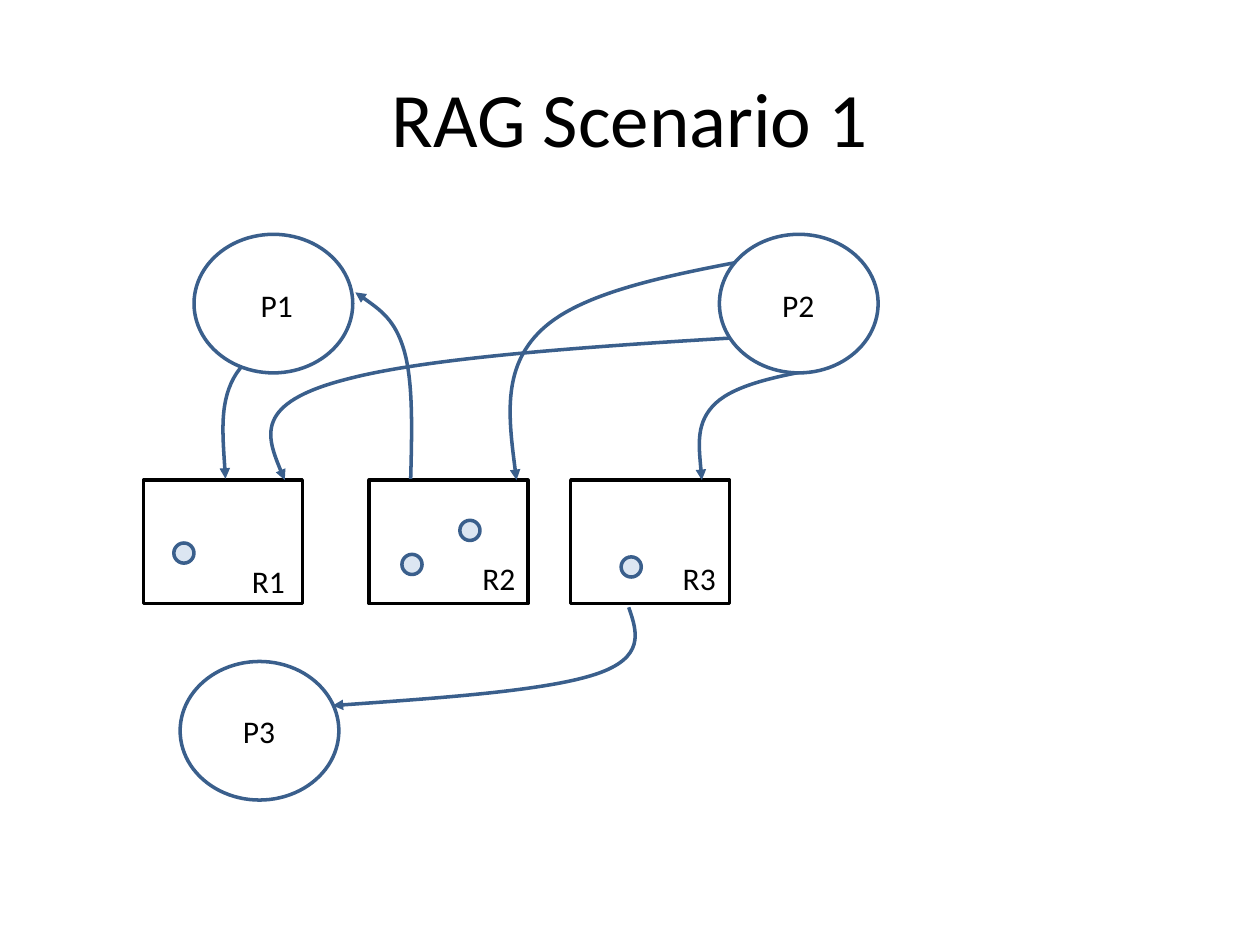
import pptx
import pptx.dml.color
import pptx.enum.shapes
import pptx.enum.text
import pptx.oxml
import pptx.oxml.ns
import pptx.util
from pptx.util import Inches

THEME = {
    "font": "Calibri",
    "title_size": 44,
    "label_size": 18,
    "line_width": 2,
    "text": "000000",
    "paper": "FFFFFF",
    "blue": "3A5F8C",
    "pale_blue": "DCE6F2",
}
OVAL = pptx.enum.shapes.MSO_SHAPE.OVAL
RECTANGLE = pptx.enum.shapes.MSO_SHAPE.RECTANGLE
CIRCLE_SIZE = (1.26, 1.1)
BOX_SIZE = (1.26, 0.98)
DOT_SIZE = (0.16, 0.16)
LABEL_SIZE = (0.47, 0.4)
BOX_TOP = 3.81


def style_shape(shape, line, fill=None):
    shape.shadow.inherit = False
    shape.line.color.rgb = pptx.dml.color.RGBColor.from_string(THEME[line])
    shape.line.width = pptx.util.Pt(THEME["line_width"])
    if fill:
        shape.fill.solid()
        shape.fill.fore_color.rgb = pptx.dml.color.RGBColor.from_string(THEME[fill])
    else:
        shape.fill.background()


def write_text(text_frame, text, size):
    text_frame.text = text
    font = text_frame.paragraphs[0].runs[0].font
    font.color.rgb = pptx.dml.color.RGBColor.from_string(THEME["text"])
    formats = {"name": THEME["font"], "size": pptx.util.Pt(THEME[size])}
    for name, value in formats.items():
        setattr(font, name, value)


presentation = pptx.Presentation()
presentation.slide_width, presentation.slide_height = Inches(10), Inches(7.5)
slide = presentation.slides.add_slide(presentation.slide_layouts[5])
shapes = slide.shapes

title = shapes.title
title_place = {"left": 0.5, "top": 0.3, "width": 9, "height": 1.25}
for name, value in title_place.items():
    setattr(title, name, Inches(value))
write_text(title.text_frame, "RAG Scenario 1", "title_size")
title.text_frame.vertical_anchor = pptx.enum.text.MSO_ANCHOR.MIDDLE
title.text_frame.paragraphs[0].alignment = pptx.enum.text.PP_ALIGN.CENTER

# Resources
for left in (1.14, 2.93, 4.53):
    box = shapes.add_shape(RECTANGLE, *map(Inches, (left, BOX_TOP, *BOX_SIZE)))
    style_shape(box, "text", "paper")

# Requests and assignments: a start point, then two Bezier segments of three points
arrows = [
    # P1 to R1
    [(2.6, 2.57), (2.31, 2.66), (2.01, 2.76), (1.88, 2.96),
     (1.74, 3.17), (1.77, 3.48), (1.79, 3.8)],
    # P2 to R1, R2 and R3
    [(6.73, 2.63), (5.12, 2.72), (3.5, 2.81), (2.75, 3.01),
     (2.01, 3.2), (2.13, 3.51), (2.26, 3.81)],
    [(6.18, 2.02), (5.43, 2.16), (4.68, 2.29), (4.33, 2.59),
     (3.98, 2.89), (4.04, 3.35), (4.1, 3.81)],
    [(6.54, 2.92), (6.19, 2.98), (5.84, 3.05), (5.68, 3.2),
     (5.52, 3.35), (5.55, 3.58), (5.57, 3.81)],
    # R3 to P3
    [(4.99, 4.82), (5.06, 5.02), (5.12, 5.22), (4.73, 5.35),
     (4.34, 5.48), (3.49, 5.54), (2.64, 5.6)],
    # R2 to P1
    [(3.26, 3.8), (3.27, 3.42), (3.28, 3.04), (3.21, 2.79),
     (3.14, 2.54), (2.98, 2.43), (2.82, 2.32)],
]
for points in arrows:
    start, *others = [(Inches(x), Inches(y)) for x, y in points]
    builder = shapes.build_freeform(*start)
    builder.add_line_segments(others, close=False)
    arrow = builder.convert_to_shape()
    style_shape(arrow, "blue")
    # Turn each three straight segments into one cubic curve
    segments = list(arrow.element.iter(pptx.oxml.ns.qn("a:lnTo")))
    for first in range(0, len(segments), 3):
        curve = pptx.oxml.parse_xml(
            f"<a:cubicBezTo {pptx.oxml.ns.nsdecls('a')}/>")
        segments[first].addprevious(curve)
        for segment in segments[first:first + 3]:
            curve.append(segment[0])
            segment.getparent().remove(segment)
    line = arrow.element.spPr.find(pptx.oxml.ns.qn("a:ln"))
    line.append(pptx.oxml.parse_xml(
        f'<a:tailEnd {pptx.oxml.ns.nsdecls("a")} type="triangle"/>'))

# Processes
for left, top in ((1.54, 1.86), (5.71, 1.86), (1.43, 5.25)):
    circle = shapes.add_shape(OVAL, *map(Inches, (left, top, *CIRCLE_SIZE)))
    style_shape(circle, "blue", "paper" if top < BOX_TOP else None)

# Resource instances
for left, top in ((1.38, 4.31), (3.65, 4.13), (3.19, 4.4), (4.93, 4.42)):
    dot = shapes.add_shape(OVAL, *map(Inches, (left, top, *DOT_SIZE)))
    style_shape(dot, "blue", "pale_blue")

labels = {
    "P1": (1.97, 2.22), "P2": (6.11, 2.22), "P3": (1.83, 5.6),
    "R1": (1.9, 4.41), "R2": (3.73, 4.39), "R3": (5.32, 4.39),
}
for text, (left, top) in labels.items():
    label = shapes.add_textbox(*map(Inches, (left, top, *LABEL_SIZE)))
    label.text_frame.word_wrap = False
    label.text_frame.auto_size = pptx.enum.text.MSO_AUTO_SIZE.SHAPE_TO_FIT_TEXT
    write_text(label.text_frame, text, "label_size")

presentation.save("out.pptx")
